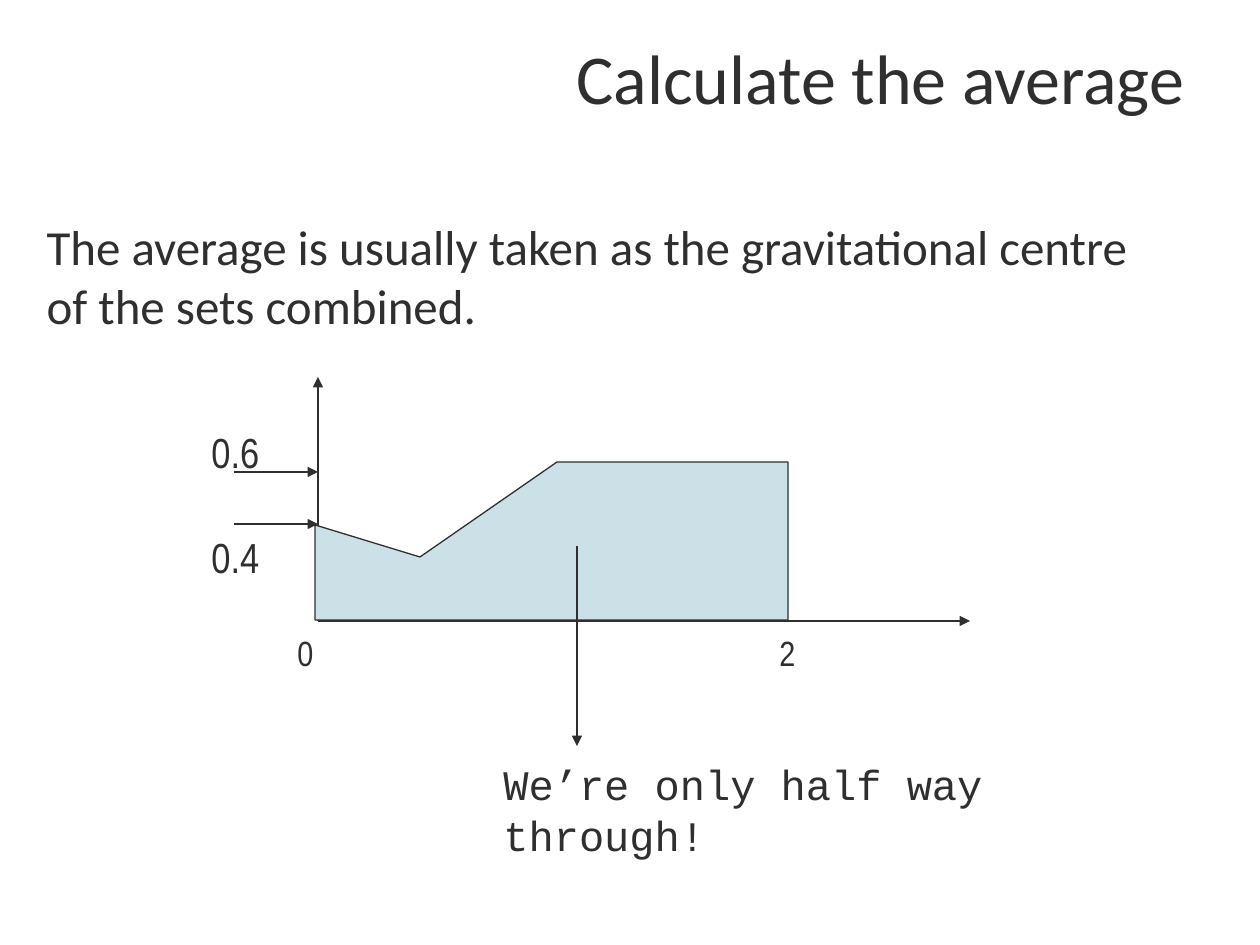
from typing import NamedTuple

from lxml.etree import SubElement
from pptx import Presentation
from pptx.dml.color import RGBColor
from pptx.enum.shapes import MSO_CONNECTOR
from pptx.enum.text import MSO_ANCHOR, MSO_AUTO_SIZE, PP_ALIGN
from pptx.oxml.ns import qn
from pptx.util import Emu, Pt

SCALE = 914400 / 126  # EMU in one px
INK = RGBColor(0x2F, 0x2F, 0x2F)
AREA = RGBColor(0xCB, 0xE1, 0xE7)
LINE = Pt(0.75)


class Box(NamedTuple):
    left: int
    top: int
    width: int
    height: int


class Label(NamedTuple):
    text: str
    box: Box
    size: int


class Arrow(NamedTuple):
    x1: int
    y1: int
    x2: int
    y2: int


TITLE = Box(63, 38, 1134, 94)
BODY = Box(34, 210, 1131, 630)
NOTE = Box(491, 752, 573, 64)

LABELS = [
    Label("0", Box(285, 625, 42, 54), 20),
    Label("2", Box(767, 625, 42, 54), 20),
    Label("0.4", Box(199, 525, 73, 63), 24),
    Label("0.6", Box(199, 420, 73, 63), 24),
]
AXES = [Arrow(318, 621, 970, 621), Arrow(318, 621, 318, 377)]
LEVELS = [Arrow(234, y, 318, y) for y in (472, 524)]
CENTRE = Arrow(577, 546, 577, 746)
OUTLINE = [(315, 525), (315, 620), (788, 620), (788, 462), (557, 462), (420, 557)]


def px(count: int) -> Emu:
    return Emu(round(count * SCALE))


def place(shape, box: Box) -> None:
    shape.left, shape.top, shape.width, shape.height = map(px, box)


def write(shape, text: str, *, font: str, size: int, wrap: bool = True,
          grow: bool = False, align=PP_ALIGN.LEFT, anchor=MSO_ANCHOR.TOP,
          pitch=None) -> None:
    """Fill a shape with one unbulleted paragraph; pitch is the line height."""
    frame = shape.text_frame
    frame.text = text
    frame.word_wrap = wrap
    frame.auto_size = (MSO_AUTO_SIZE.SHAPE_TO_FIT_TEXT if grow
                       else MSO_AUTO_SIZE.NONE)
    frame.vertical_anchor = anchor
    para = frame.paragraphs[0]
    props = para._p.get_or_add_pPr()
    props.set("marL", "0")
    props.set("indent", "0")
    SubElement(props, qn("a:buNone"))
    para.alignment = align
    para.space_before = Pt(0)
    if pitch:
        para.line_spacing = pitch
    style = para.runs[0].font
    style.name, style.size = font, Pt(size)
    style.color.rgb = INK


def draw_arrow(slide, arrow: Arrow) -> None:
    line = slide.shapes.add_connector(MSO_CONNECTOR.STRAIGHT, *map(px, arrow))
    line.line.color.rgb = INK
    line.line.width = LINE
    SubElement(line.line._get_or_add_ln(), qn("a:tailEnd"), type="triangle")
    SubElement(line._element.spPr, qn("a:effectLst"))


def draw_area(slide) -> None:
    pen = slide.shapes.build_freeform(*OUTLINE[0], scale=SCALE)
    pen.add_line_segments(OUTLINE[1:], close=True)
    area = pen.convert_to_shape()
    area.shadow.inherit = False
    area.fill.solid()
    area.fill.fore_color.rgb = AREA
    area.line.color.rgb = INK
    area.line.width = LINE


def add_text(slide, box: Box, text: str, **style) -> None:
    write(slide.shapes.add_textbox(*map(px, box)), text, grow=True, **style)


def main() -> None:
    deck = Presentation()
    deck.slide_width, deck.slide_height = px(1260), px(945)
    slide = deck.slides.add_slide(deck.slide_layouts[1])

    title, body = slide.placeholders
    place(title, TITLE)
    write(title, "Calculate the average", font="Calibri", size=40,
          align=PP_ALIGN.RIGHT, anchor=MSO_ANCHOR.BOTTOM)
    title.text_frame.margin_bottom = px(13)
    place(body, BODY)
    write(body, "The average is usually taken as the gravitational centre "
          "of the sets combined.", font="Calibri", size=28)

    for arrow in AXES:
        draw_arrow(slide, arrow)
    for label in LABELS:
        add_text(slide, label.box, label.text, font="Arial Narrow",
                 size=label.size, wrap=False)
    for arrow in LEVELS:
        draw_arrow(slide, arrow)
    draw_area(slide)
    draw_arrow(slide, CENTRE)
    add_text(slide, NOTE, "We’re only half way through!",
             font="Courier New", size=24, pitch=Pt(29))
    deck.save("out.pptx")


if __name__ == "__main__":
    main()
